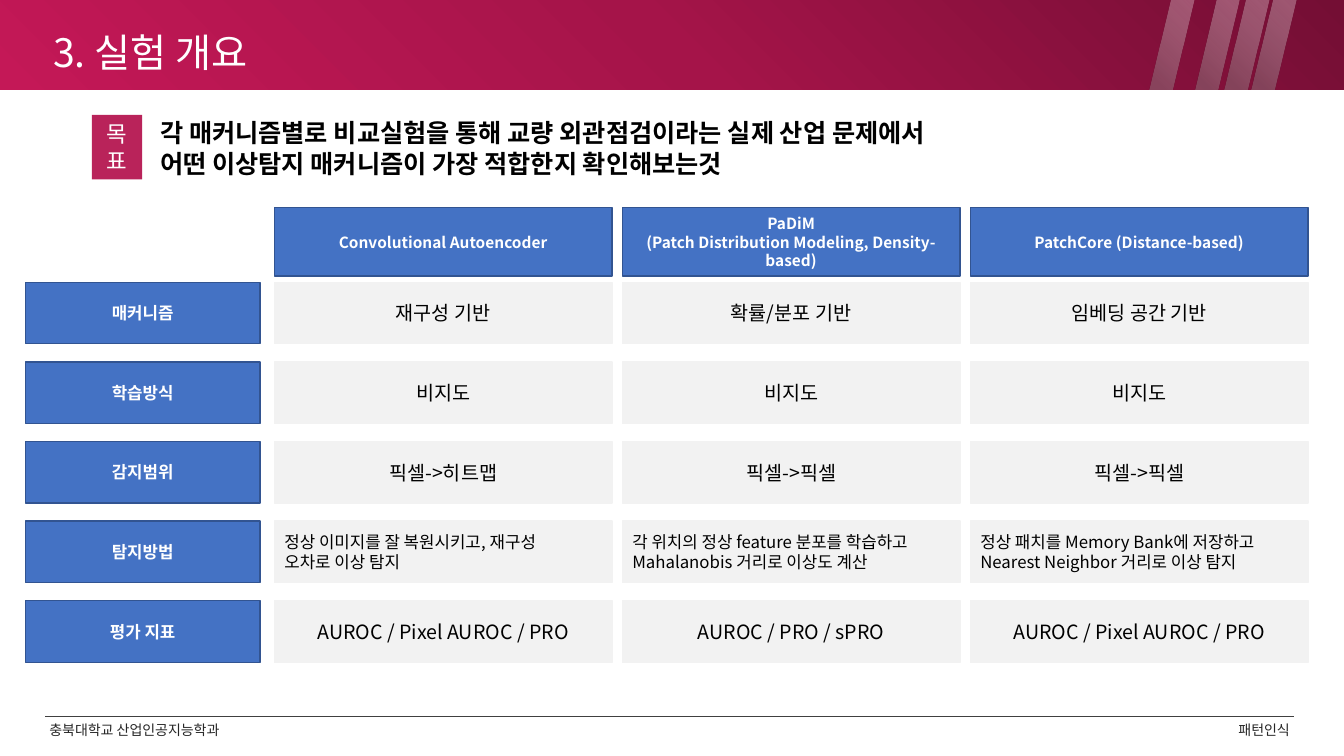
from dataclasses import dataclass

from lxml import etree
from pptx import Presentation
from pptx.dml.color import RGBColor
from pptx.enum.shapes import MSO_CONNECTOR as Connector, MSO_SHAPE as Shape
from pptx.enum.text import MSO_ANCHOR as Anchor, PP_ALIGN as Align
from pptx.oxml import parse_xml
from pptx.oxml.ns import nsdecls, qn
from pptx.util import Inches, Pt

WHITE = RGBColor(0xFF, 0xFF, 0xFF)
BLACK = RGBColor(0x00, 0x00, 0x00)
BLUE = RGBColor(0x44, 0x72, 0xC4)
NAVY = RGBColor(0x32, 0x54, 0x91)
PALE = RGBColor(0xF2, 0xF2, 0xF2)
CRIMSON = RGBColor(0xB9, 0x23, 0x5A)
INK = RGBColor(0x26, 0x26, 0x26)
RULE = RGBColor(0x40, 0x40, 0x40)
WINE = RGBColor(0x74, 0x0E, 0x34)
ROSE = RGBColor(0xA5, 0x14, 0x49)
PINK = RGBColor(0xC4, 0x18, 0x57)
ASH = RGBColor(0x8D, 0x88, 0x88)

KOREAN, LATIN = "Noto Sans CJK KR", "Roboto"

# Gradient stops: position %, colour, opacity %
BANNER_STOPS = [(0, WINE, 100), (50, ROSE, 100), (100, PINK, 100)]
STRIPE_STOPS = [(0, WHITE, 30), (87, ASH, 43)]
STRIPE_LEFTS = [85.57, 88.95, 91.12, 93.15]

METHODS = [
    "Convolutional Autoencoder",
    "PaDiM\n(Patch Distribution Modeling, Density-based)",
    "PatchCore (Distance-based)",
]
ROWS = [
    ("매커니즘", ["재구성 기반", "확률/분포 기반", "임베딩 공간 기반"]),
    ("학습방식", ["비지도", "비지도", "비지도"]),
    ("감지범위", ["픽셀->히트맵", "픽셀->픽셀", "픽셀->픽셀"]),
    ("탐지방법", [
        "정상 이미지를 잘 복원시키고, 재구성\n오차로 이상 탐지",
        "각 위치의 정상 feature 분포를 학습하고 Mahalanobis 거리로 이상도 계산",
        "정상 패치를 Memory Bank에 저장하고 Nearest Neighbor 거리로 이상 탐지",
    ]),
    ("평가 지표", ["AUROC / Pixel AUROC / PRO", "AUROC / PRO / sPRO", "AUROC / Pixel AUROC / PRO"]),
]
DETAIL_ROW = "탐지방법"

# Text formats
TITLE = {"size": Pt(28), "color": WHITE}
BADGE = {"size": Pt(16), "color": WHITE}
GOAL = {"size": Pt(18), "color": BLACK, "bold": True}
HEADER = {"size": Pt(11), "color": WHITE, "bold": True}
LABEL = {"size": Pt(12), "color": WHITE, "bold": True}
VALUE = {"size": Pt(14), "color": BLACK}
DETAIL = {"size": Pt(12), "color": BLACK}
FOOTER = {"size": Pt(10), "color": INK}


@dataclass
class Box:
    left: float
    top: float
    width: float
    height: float

    def inner(self, left, top, width, height):
        """Return an inner box given in percent of this one."""
        return Box(self.left + self.width * left / 100, self.top + self.height * top / 100,
                   self.width * width / 100, self.height * height / 100)

    def place(self):
        return [Inches(n) for n in (self.left, self.top, self.width, self.height)]


def add_span(para, text, style, font=KOREAN):
    span = para.add_run()
    span.text = text
    span.font.name = font
    for name, value in style.items():
        if name == "color":
            span.font.color.rgb = value
        else:
            setattr(span.font, name, value)
    east_asian = etree.SubElement(span.font._element, qn("a:ea"))
    east_asian.set("typeface", KOREAN)


def write(shape, lines, style, align=Align.LEFT, anchor=Anchor.MIDDLE, wrap=True, **spacing):
    """Each line is a list of (text, font) spans."""
    frame = shape.text_frame
    frame.word_wrap = wrap
    frame.vertical_anchor = anchor
    for index, spans in enumerate(lines):
        para = frame.add_paragraph() if index else frame.paragraphs[0]
        for name, value in {"alignment": align, **spacing}.items():
            setattr(para, name, value)
        for text, font in spans:
            add_span(para, text, style, font)


def plain(text):
    return [[(line, KOREAN)] for line in text.split("\n")]


def add_block(page, box, fill=None, line=None, kind=Shape.RECTANGLE):
    shape = page.shapes.add_shape(kind, *box.place())
    shape.shadow.inherit = False
    if fill is not None:
        shape.fill.solid()
        shape.fill.fore_color.rgb = fill
    if line is None:
        shape.line.fill.background()
    else:
        shape.line.color.rgb = line
        shape.line.width = Pt(1)
    return shape


def add_text(page, box, lines, style, **layout):
    write(page.shapes.add_textbox(*box.place()), lines, style, **layout)


def add_glow(shape, stops):
    """Fill with a radial gradient that starts in the top right corner."""
    marks = "".join(
        f'<a:gs pos="{at * 1000}"><a:srgbClr val="{color}">'
        f'<a:alpha val="{opacity * 1000}"/></a:srgbClr></a:gs>'
        for at, color, opacity in stops)
    gradient = parse_xml(
        f'<a:gradFill {nsdecls("a")} rotWithShape="1"><a:gsLst>{marks}</a:gsLst>'
        '<a:path path="circle"><a:fillToRect l="100000" b="100000"/></a:path></a:gradFill>')
    shape._element.spPr.find(qn("a:prstGeom")).addnext(gradient)


def draw_banner(page, box):
    add_glow(add_block(page, box), BANNER_STOPS)
    for left in STRIPE_LEFTS:
        stripe = add_block(page, box.inner(left, 0, 3.3, 100), kind=Shape.PARALLELOGRAM)
        stripe.adjustments[0] = 0.48
        add_glow(stripe, STRIPE_STOPS)
    add_text(page, box.inner(3.22, 13.5, 41.64, 76.4), plain("3. 실험 개요"), TITLE,
             anchor=Anchor.BOTTOM, line_spacing=0.9, space_before=Pt(10))


def draw_goal(page, box):
    badge = add_block(page, box.inner(0, 2.8, 5.31, 90.1), CRIMSON)
    write(badge, plain("목표"), BADGE, align=Align.CENTER)
    lines = [
        [("각 매커니즘별로 비교실험을 통해 ", LATIN), ("교량 외관점검이라는 실제 산업 문제에서", KOREAN)],
        [("어떤 이상탐지 매커니즘이 가장 적합한지 확인해보는것", KOREAN)],
    ]
    add_text(page, box.inner(6.16, 0, 93.84, 100), lines, GOAL, anchor=Anchor.TOP, wrap=False)


def draw_comparison(page, box):
    lefts = [19.42 + 27.12 * column for column in range(len(METHODS))]
    # Method headers
    for left, method in zip(lefts, METHODS):
        header = add_block(page, box.inner(left, 0, 26.3, 15.08), BLUE, NAVY)
        write(header, plain(method), HEADER, align=Align.CENTER)
    # Row labels and values
    for row, (name, values) in enumerate(ROWS):
        top = 16.41 + 17.52 * row
        label = add_block(page, box.inner(0, top, 18.3, 13.53), BLUE, NAVY)
        write(label, plain(name), LABEL, align=Align.CENTER)
        style, align = (DETAIL, Align.LEFT) if name == DETAIL_ROW else (VALUE, Align.CENTER)
        for left, value in zip(lefts, values):
            cell = add_block(page, box.inner(left, top, 26.3, 13.53), PALE, PALE)
            write(cell, plain(value), style, align=align)


def draw_footer(page, box):
    left, top, width, _ = box.place()
    rule = page.shapes.add_connector(Connector.STRAIGHT, left, top, left + width, top)
    rule.line.color.rgb = RULE
    rule.line.width = Pt(0.75)
    etree.SubElement(rule._element.spPr, qn("a:effectLst"))
    add_text(page, box.inner(-0.48, 0, 23.83, 100), plain("충북대학교 산업인공지능학과"), FOOTER)
    add_text(page, box.inner(76.66, 0, 23.83, 100), plain("패턴인식"), FOOTER, align=Align.RIGHT)


def main():
    deck = Presentation()
    slide = Box(0, 0, 13.33, 7.5)
    _, _, deck.slide_width, deck.slide_height = slide.place()
    page = deck.slides.add_slide(deck.slide_layouts[6])
    draw_banner(page, slide.inner(0, 0, 100, 11.87))
    draw_goal(page, slide.inner(6.83, 14.93, 70.59, 9.47))
    draw_comparison(page, slide.inner(1.88, 27.47, 95.47, 60.13))
    draw_footer(page, slide.inner(3.38, 94.8, 92.87, 3.6))
    deck.save("out.pptx")


if __name__ == "__main__":
    main()
